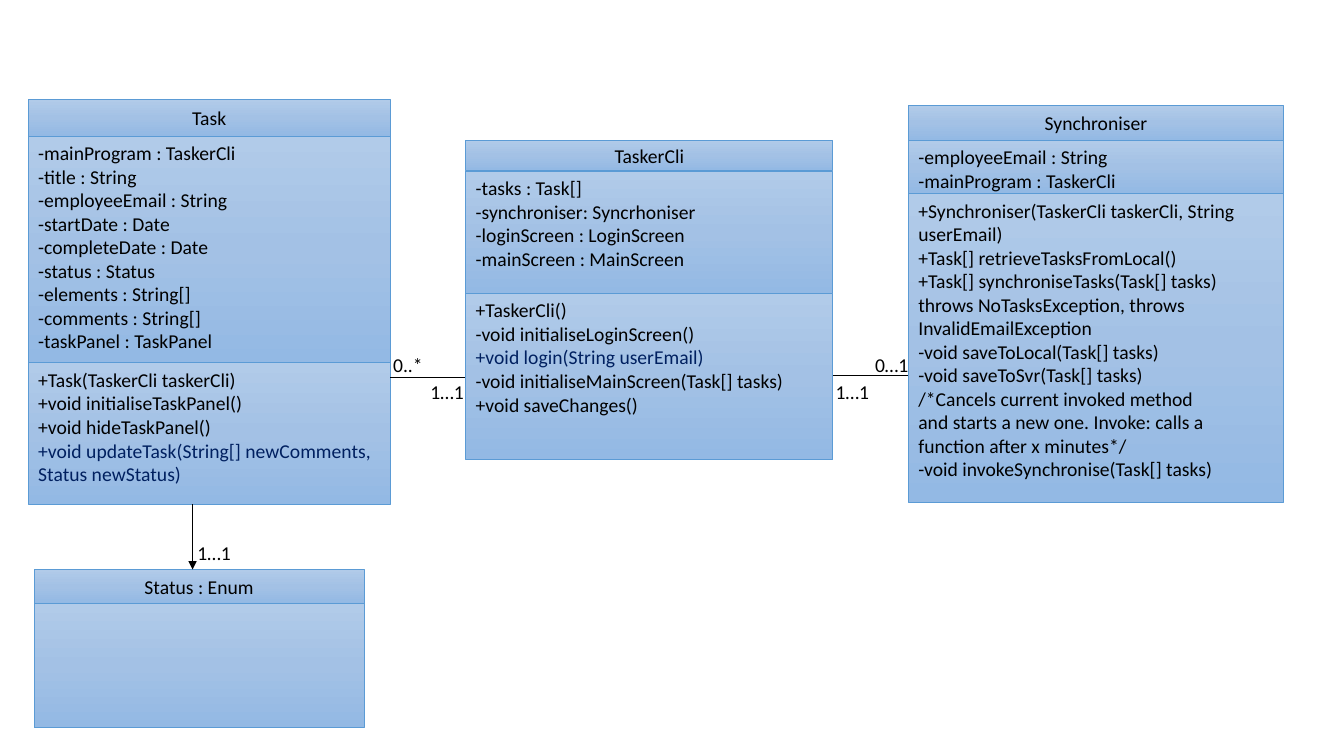
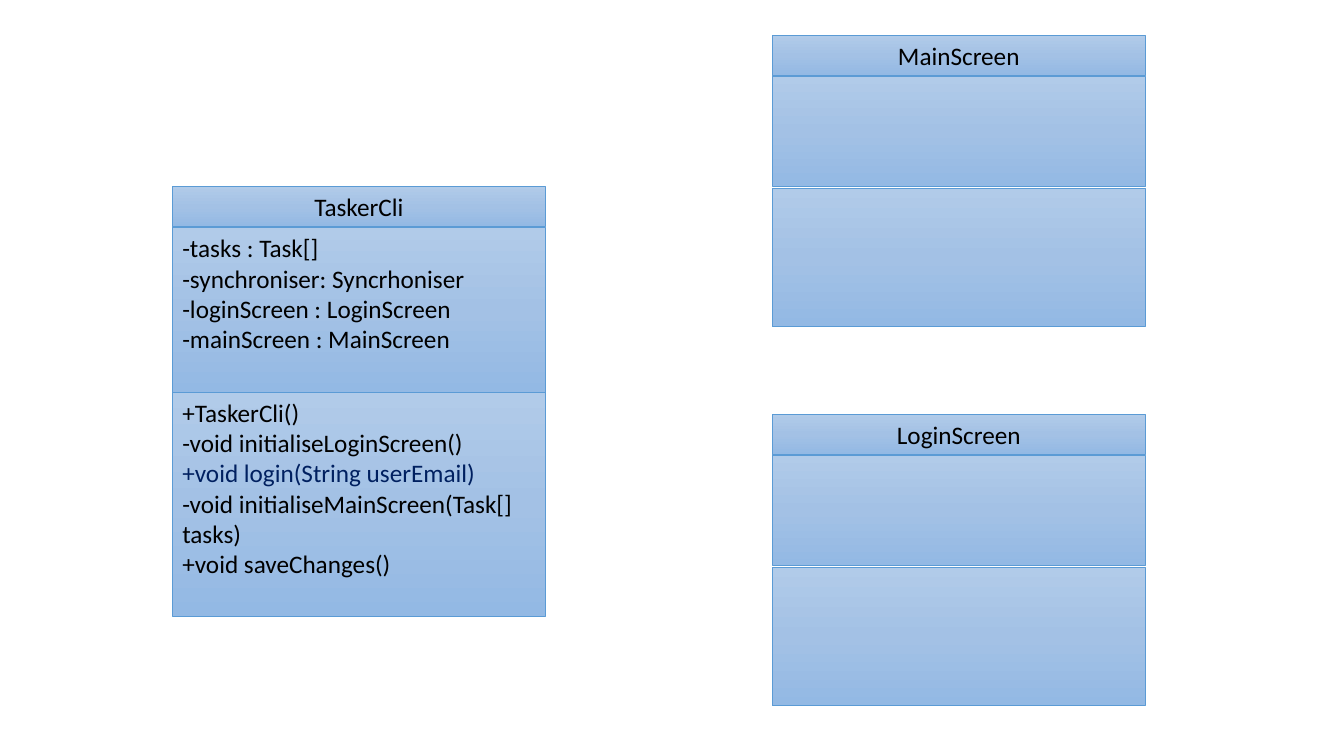
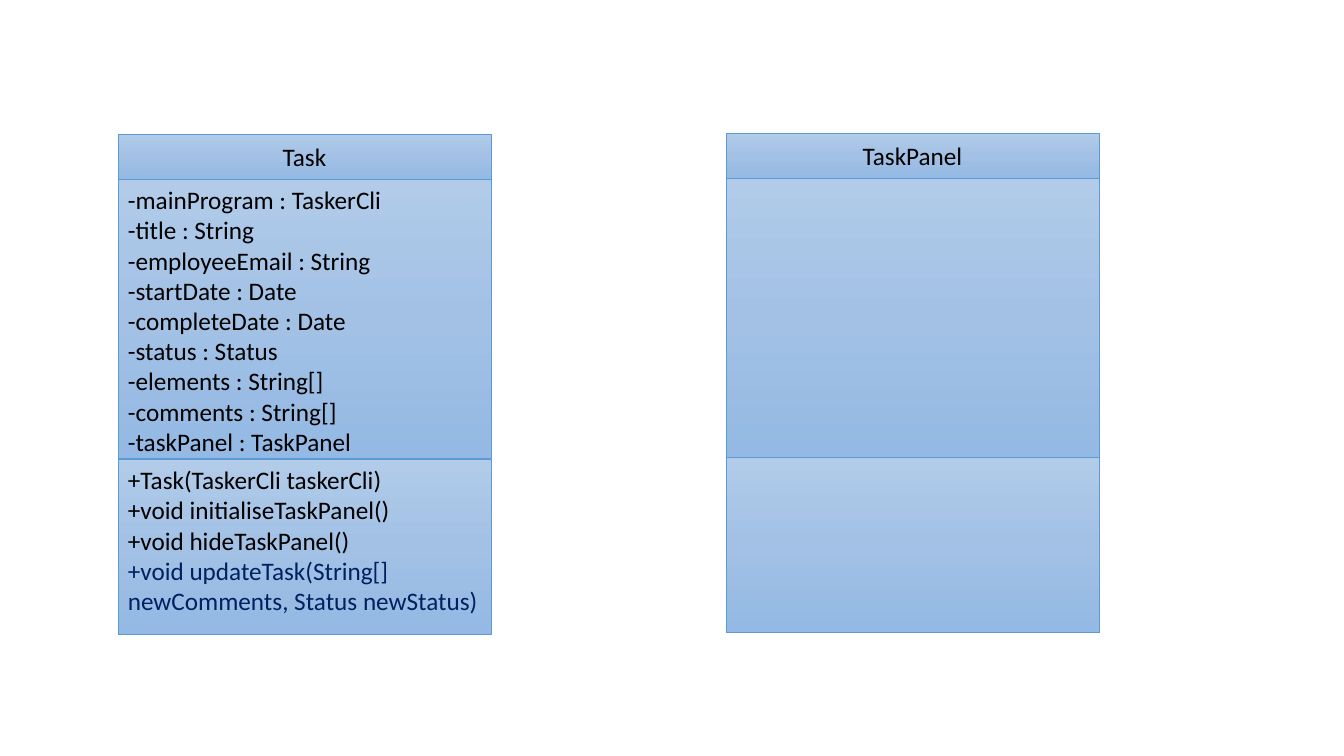
from copy import deepcopy

from lxml.etree import SubElement
from pptx import Presentation
from pptx.dml.color import RGBColor
from pptx.enum.shapes import MSO_CONNECTOR, MSO_SHAPE
from pptx.enum.text import MSO_ANCHOR, MSO_AUTO_SIZE, PP_ALIGN
from pptx.oxml.ns import qn
from pptx.util import Inches, Pt

# Shared style
COLOURS = {
    "top": "B1CBE9",
    "middle": "A3C1E5",
    "bottom": "93B9E4",
    "border": "5B9BD5",
    "text": "000000",
    "highlight": "002060",
}
FONT = "Calibri"
LINE_WIDTH = Pt(0.5)

# Class members
TASK_FIELDS = [
    "-mainProgram : TaskerCli",
    "-title : String",
    "-employeeEmail : String",
    "-startDate : Date",
    "-completeDate : Date",
    "-status : Status",
    "-elements : String[]",
    "-comments : String[]",
    "-taskPanel : TaskPanel",
]
UPDATE_TASK = "+void updateTask(String[] newComments, Status newStatus)"
TASK_METHODS = [
    "+Task(TaskerCli taskerCli)",
    "+void initialiseTaskPanel()",
    "+void hideTaskPanel()",
    UPDATE_TASK,
]
CLI_FIELDS = [
    "-tasks : Task[]",
    "-synchroniser: Syncrhoniser",
    "-loginScreen : LoginScreen",
    "-mainScreen : MainScreen",
]
LOGIN = "+void login(String userEmail)"
CLI_METHODS = [
    "+TaskerCli()",
    "-void initialiseLoginScreen()",
    LOGIN,
    "-void initialiseMainScreen(Task[] tasks)",
    "+void saveChanges()",
]
SYNC_FIELDS = ["-employeeEmail : String", "-mainProgram : TaskerCli"]
SYNC_METHODS = [
    "+Synchroniser(TaskerCli taskerCli, String userEmail)",
    "+Task[] retrieveTasksFromLocal()",
    "+Task[] synchroniseTasks(Task[] tasks) throws NoTasksException, "
    "throws InvalidEmailException",
    "-void saveToLocal(Task[] tasks)",
    "-void saveToSvr(Task[] tasks)",
    "/*Cancels current invoked method",
    "and starts a new one. Invoke: calls a function after x minutes*/",
    "-void invokeSynchronise(Task[] tasks)",
]
HIGHLIGHTED = {UPDATE_TASK, LOGIN}


def colour(name):
    return RGBColor.from_string(COLOURS[name])


def write_lines(frame, lines, size, align=PP_ALIGN.LEFT):
    for index, line in enumerate(lines):
        para = frame.add_paragraph() if index else frame.paragraphs[0]
        para.alignment = align
        span = para.add_run()
        span.text = line
        span.font.name = FONT
        span.font.size = Pt(size)
        span.font.color.rgb = colour("highlight" if line in HIGHLIGHTED else "text")


def fill_gradient(box):
    box.fill.gradient()
    box.fill.gradient_angle = 270  # counter-clockwise, so the light end is on top
    stop_list = box._element.spPr.find(".//" + qn("a:gsLst"))
    stop_list.insert(1, deepcopy(stop_list[0]))
    names = ("top", "middle", "bottom")
    for stop, name, position in zip(box.fill.gradient_stops, names, (0, 0.5, 1)):
        stop.color.rgb = colour(name)
        stop.position = position


def add_class(page, left, top, width, heights, sections, size, gaps=(0, 0)):
    """Stack the name, the fields and the methods of one class as a group."""
    group = page.shapes.add_group_shape()
    for index, (height, lines) in enumerate(zip(heights, sections)):
        box = group.shapes.add_shape(
            MSO_SHAPE.RECTANGLE, Inches(left), Inches(top), Inches(width), Inches(height))
        box.shadow.inherit = False
        fill_gradient(box)
        box.line.color.rgb = colour("border")
        box.line.width = LINE_WIDTH
        is_name = index == 0
        box.text_frame.vertical_anchor = MSO_ANCHOR.MIDDLE if is_name else MSO_ANCHOR.TOP
        write_lines(box.text_frame, lines, size,
                    PP_ALIGN.CENTER if is_name else PP_ALIGN.LEFT)
        top += height + (gaps[index] if index < len(gaps) else 0)


def add_line(page, start, end, arrow=False):
    line = page.shapes.add_connector(
        MSO_CONNECTOR.STRAIGHT, *(Inches(value) for value in (*start, *end)))
    line.line.color.rgb = colour("text")
    line.line.width = LINE_WIDTH
    if arrow:
        SubElement(line.line._get_or_add_ln(), qn("a:tailEnd"), type="triangle")
    SubElement(line._element.spPr, qn("a:effectLst"))


def add_multiplicity(page, left, top, label):
    box = page.shapes.add_textbox(Inches(left), Inches(top), Inches(0.69), Inches(0.34))
    box.text_frame.word_wrap = True
    box.text_frame.auto_size = MSO_AUTO_SIZE.SHAPE_TO_FIT_TEXT
    write_lines(box.text_frame, [label], 14)


def build_overview(page):
    # Classes and associations
    add_class(page, 0.28, 0.99, 3.59, (0.36, 2.25, 1.4),
              (["Task"], TASK_FIELDS, TASK_METHODS), 14)
    add_class(page, 0.34, 5.65, 3.27, (0.34, 1.23), (["Status : Enum"], []), 14)
    add_class(page, 9.01, 1.05, 3.72, (0.34, 0.53, 3.06),
              (["Synchroniser"], SYNC_FIELDS, SYNC_METHODS), 14)
    add_line(page, (8.14, 3.72), (9.01, 3.72))
    add_line(page, (4.62, 3.74), (3.87, 3.74))
    add_class(page, 4.62, 1.39, 3.64, (0.3, 1.22, 1.65),
              (["TaskerCli"], CLI_FIELDS, CLI_METHODS), 14, (0.01, -0.01))

    # Multiplicities
    for left, top, label in (
        (3.8, 3.45, "0..*"),
        (8.19, 3.72, "1…1"),
        (8.58, 3.45, "0…1"),
        (4.17, 3.72, "1…1"),
        (1.86, 5.32, "1…1"),
    ):
        add_multiplicity(page, left, top, label)
    add_line(page, (1.91, 5), (1.91, 5.65), arrow=True)


def build_screens(page):
    add_class(page, 1.71, 1.85, 3.7, (0.4, 1.64, 2.22),
              (["TaskerCli"], CLI_FIELDS, CLI_METHODS), 18, (0.01, -0.01))
    for top, name in ((0.35, "MainScreen"), (4.11, "LoginScreen")):
        add_class(page, 7.66, top, 3.7, (0.4, 1.09, 1.37),
                  ([name], [], []), 18, (0.01, 0.02))


def build_task_panel(page):
    heights = (0.45, 2.77, 1.73)
    add_class(page, 1.17, 1.33, 3.7, heights,
              (["Task"], TASK_FIELDS, TASK_METHODS), 18, (0, 0.01))
    add_class(page, 7.2, 1.32, 3.7, heights, (["TaskPanel"], [], []), 18)


def main():
    deck = Presentation()
    deck.slide_width = Inches(13.33)
    deck.slide_height = Inches(7.5)
    blank = deck.slide_layouts[6]
    for build in (build_overview, build_screens, build_task_panel):
        build(deck.slides.add_slide(blank))
    deck.save("out.pptx")


main()
